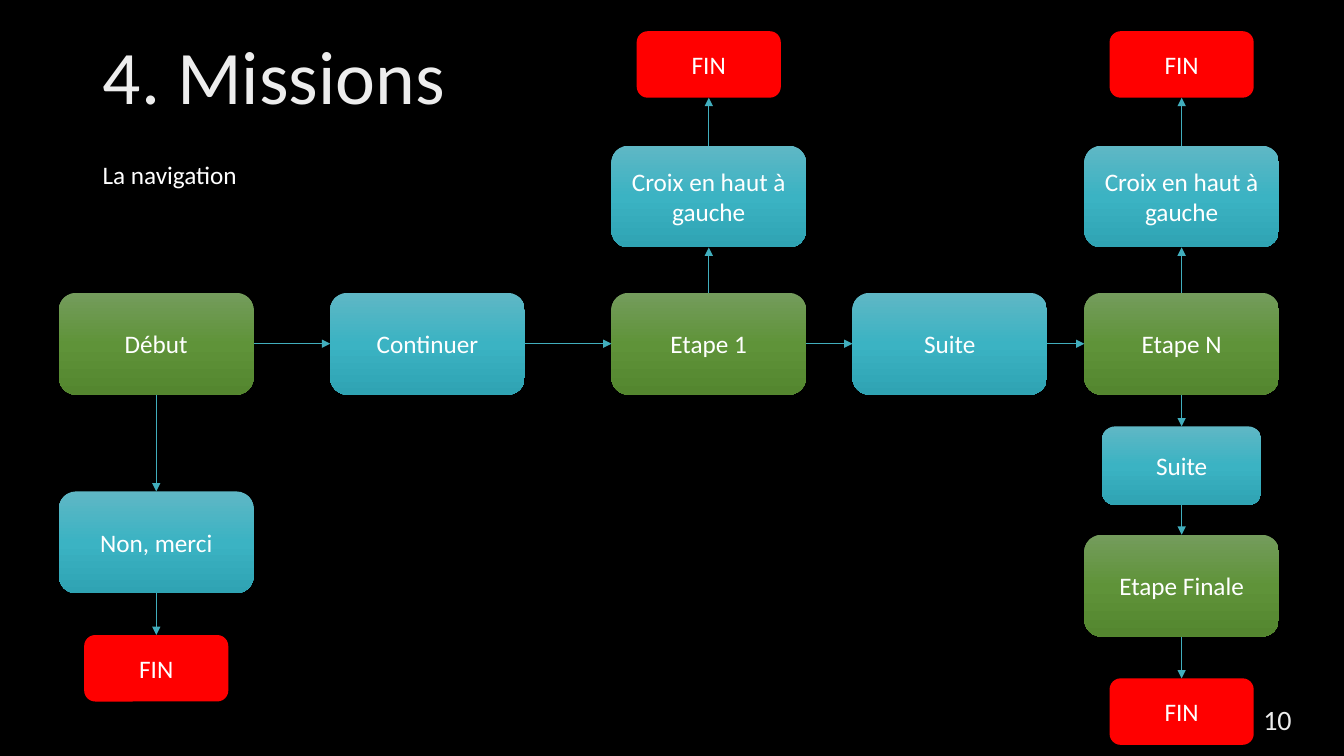
from copy import deepcopy
from dataclasses import dataclass

from lxml.etree import SubElement
from pptx import Presentation
from pptx.dml.color import RGBColor
from pptx.enum.shapes import MSO_CONNECTOR as Connector, MSO_SHAPE as Shape
from pptx.enum.text import MSO_ANCHOR as Anchor, MSO_AUTO_SIZE as AutoSize, PP_ALIGN as Align
from pptx.oxml.ns import qn
from pptx.util import Inches, Pt

TITLE = "4. Missions"
SUBTITLE = "La navigation"
PAGE_NUMBER = "10"

COLUMNS = {"début": 1.55, "continuer": 4.24, "étape 1": 7.03, "suite": 9.42, "étape N": 11.72}
ROWS = {"sortie": 0.64, "croix": 1.95, "étapes": 3.41, "suite": 4.62,
        "refus": 5.38, "finale": 5.81, "fin refus": 6.63, "fin finale": 7.06}

NODES = {
    "début": ("Début", "step", "début", "étapes"),
    "non": ("Non, merci", "action", "début", "refus"),
    "fin non": ("FIN", "end", "début", "fin refus"),
    "continuer": ("Continuer", "action", "continuer", "étapes"),
    "étape 1": ("Etape 1", "step", "étape 1", "étapes"),
    "croix 1": ("Croix en haut à gauche", "action", "étape 1", "croix"),
    "fin 1": ("FIN", "end", "étape 1", "sortie"),
    "suite 1": ("Suite", "action", "suite", "étapes"),
    "étape N": ("Etape N", "step", "étape N", "étapes"),
    "croix N": ("Croix en haut à gauche", "action", "étape N", "croix"),
    "fin N": ("FIN", "end", "étape N", "sortie"),
    "suite N": ("Suite", "small action", "étape N", "suite"),
    "finale": ("Etape Finale", "step", "étape N", "finale"),
    "fin finale": ("FIN", "end", "étape N", "fin finale"),
}

PATHS = {
    "right": ["début", "continuer", "étape 1", "suite 1", "étape N"],
    "down": ["début", "non", "fin non"],
    "up": ["étape 1", "croix 1", "fin 1"],
    "up N": ["étape N", "croix N", "fin N"],
    "down N": ["étape N", "suite N", "finale", "fin finale"],
}
SITES = {"right": (3, 1), "down": (2, 0), "up": (0, 2)}

SIZES = {"step": (1.93, 1.01), "action": (1.93, 1.01),
         "small action": (1.58, 0.78), "end": (1.43, 0.66)}


@dataclass(frozen=True)
class Theme:
    font: str = "Calibri"
    title_size: int = 54
    body_size: int = 18
    number_size: int = 20
    background: str = "000000"
    text: str = "FFFFFF"
    heading: str = "EDEDED"
    arrow: str = "41AEBD"
    arrow_width: float = 0.5
    step: tuple = ("749C5C", "5F9339", "54862F")
    action: tuple = ("5FB7C5", "3BB3C3", "2FA3B3")
    end: str = "FF0000"


THEME = Theme()


def rgb(code):
    return RGBColor.from_string(code)


def set_values(target, values):
    for name, value in values.items():
        setattr(target, name, value)


def write(shape, text, size, color, align, **frame_values):
    frame = shape.text_frame
    set_values(frame, {"word_wrap": True, "vertical_anchor": Anchor.MIDDLE, **frame_values})
    frame.text = text
    paragraph = frame.paragraphs[0]
    paragraph.alignment = align
    font = paragraph.runs[0].font
    set_values(font, {"name": THEME.font, "size": Pt(size)})
    font.color.rgb = rgb(color)
    return paragraph


def fill_gradient(shape, colors):
    shape.fill.gradient()
    shape.fill.gradient_angle = 270
    stop_list = shape._element.spPr.find(qn("a:gradFill")).find(qn("a:gsLst"))
    stop_list.append(deepcopy(stop_list[0]))
    for index, (stop, color) in enumerate(zip(shape.fill.gradient_stops, colors)):
        stop.position = index / (len(colors) - 1)
        stop.color.rgb = rgb(color)


def add_node(slide, text, kind, column, row):
    width, height = SIZES[kind]
    left, top = COLUMNS[column] - width / 2, ROWS[row] - height / 2
    shape = slide.shapes.add_shape(Shape.ROUNDED_RECTANGLE, *map(Inches, (left, top, width, height)))
    shape.shadow.inherit = False
    shape.line.fill.background()
    if kind == "end":
        shape.fill.solid()
        shape.fill.fore_color.rgb = rgb(THEME.end)
    else:
        fill_gradient(shape, THEME.step if kind == "step" else THEME.action)
    write(shape, text, THEME.body_size, THEME.text, Align.CENTER)
    return shape


def add_arrow(slide, source, target, direction):
    start, finish = SITES[direction]
    connector = slide.shapes.add_connector(Connector.STRAIGHT, 0, 0, 0, 0)
    connector.begin_connect(source, start)
    connector.end_connect(target, finish)
    connector.line.width = Pt(THEME.arrow_width)
    connector.line.color.rgb = rgb(THEME.arrow)
    properties = connector._element.spPr
    SubElement(properties.find(qn("a:ln")), qn("a:tailEnd"), type="triangle")
    SubElement(properties, qn("a:effectLst"))


def main():
    presentation = Presentation()
    set_values(presentation, {"slide_width": Inches(13.33), "slide_height": Inches(7.5)})
    slide = presentation.slides.add_slide(presentation.slide_layouts[5])
    slide.background.fill.solid()
    slide.background.fill.fore_color.rgb = rgb(THEME.background)

    title = slide.shapes.title
    set_values(title, {"left": Inches(0.92), "top": Inches(0.21),
                       "width": Inches(11.5), "height": Inches(1.16)})
    write(title, TITLE, THEME.title_size, THEME.heading, Align.LEFT).line_spacing = 0.9

    subtitle = slide.shapes.add_textbox(*map(Inches, (0.92, 1.53, 1.66, 0.4)))
    write(subtitle, SUBTITLE, THEME.body_size, THEME.text, Align.LEFT, word_wrap=False,
          vertical_anchor=Anchor.TOP, auto_size=AutoSize.SHAPE_TO_FIT_TEXT)

    shapes = {key: add_node(slide, *node) for key, node in NODES.items()}
    for name, path in PATHS.items():
        for source, target in zip(path, path[1:]):
            add_arrow(slide, shapes[source], shapes[target], name.split()[0])

    number = slide.shapes.add_textbox(*map(Inches, (9.91, 6.94, 3, 0.4)))
    write(number, PAGE_NUMBER, THEME.number_size, THEME.heading, Align.RIGHT)
    presentation.save("out.pptx")


if __name__ == "__main__":
    main()
